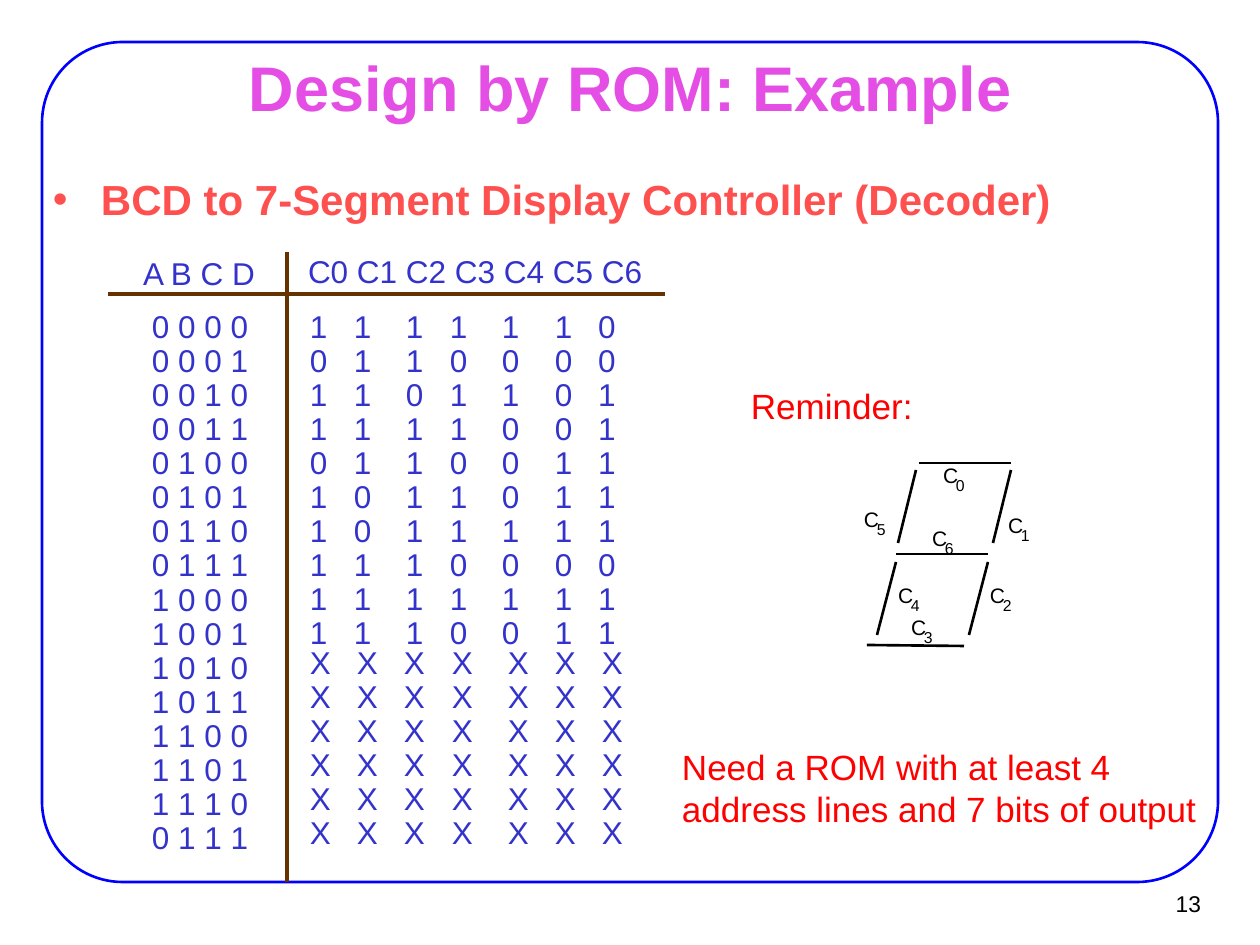
import pptx
import pptx.util
import pptx.dml.color
import pptx.enum.shapes
import pptx.enum.text
import pptx.oxml
import pptx.oxml.ns
from lxml import etree

SCALE = 914400 / 126
HUES = {
    "frame": "0000FF", "title": "E44EE4", "head": "FF5050", "rule": "663300",
    "table": "3333CC", "note": "FF0000", "ink": "000000",
}
ALIGN = pptx.enum.text.PP_ALIGN
ANCHOR = pptx.enum.text.MSO_ANCHOR


def px(num):
    return pptx.util.Emu(round(num * SCALE))


def hue(name):
    return pptx.dml.color.RGBColor.from_string(HUES[name])


def add_tag(parent, name, **attrs):
    return etree.SubElement(parent, pptx.oxml.ns.qn(name), attrs)


class Deck:
    font = "Arial"
    lead = 1.2

    def __init__(self):
        self.file = pptx.Presentation()
        self.file.slide_width, self.file.slide_height = px(1260), px(945)
        self.slide = self.file.slides.add_slide(self.file.slide_layouts[1])

    def place(self, shape, box):
        shape.left, shape.top, shape.width, shape.height = map(px, box)

    def fill(self, shape, rows, size, color, align=ALIGN.LEFT, anchor=ANCHOR.TOP,
             pad=(13, 6), tight=1, bold=False, tabs=(), bullet=False):
        frame = shape.text_frame
        frame.word_wrap = True
        frame.auto_size = pptx.enum.text.MSO_AUTO_SIZE.NONE
        frame.vertical_anchor = anchor
        frame.margin_left = frame.margin_right = px(pad[0])
        frame.margin_top = frame.margin_bottom = px(pad[1])
        frame.text = "\n".join(rows)
        for para in frame.paragraphs:
            para.alignment = align
            para.line_spacing = pptx.util.Pt(round(size * self.lead * tight, 2))
            props = para._p.get_or_add_pPr()
            if bullet:
                para.space_before = pptx.util.Pt(6)
                props.set("marL", str(px(48)))
                props.set("indent", str(px(-48)))
                add_tag(add_tag(props, "a:buClr"), "a:srgbClr", val=HUES[color])
                add_tag(props, "a:buFont", typeface=self.font)
                add_tag(props, "a:buChar", char="•")
            if tabs:
                stops = add_tag(props, "a:tabLst")
                for stop in tabs:
                    add_tag(stops, "a:tab", pos=str(px(stop)), algn="l")
            para.font.name = self.font
            para.font.size = pptx.util.Pt(size)
            para.font.bold = bold
            para.font.color.rgb = hue(color)

    def title(self, text, box):
        shape = self.slide.shapes.title
        self.place(shape, box)
        self.fill(shape, [text], 36, "title", ALIGN.CENTER, ANCHOR.MIDDLE,
                  pad=(14, 8), bold=True)

    def body(self, rows, box):
        shape = self.slide.placeholders[1]
        self.place(shape, box)
        self.fill(shape, rows, 24, "head", pad=(14, 8), bold=True, bullet=True)

    def text(self, rows, box, size, color, home=None, **style):
        shapes = (home or self.slide).shapes
        self.fill(shapes.add_textbox(*map(px, box)), rows, size, color, **style)

    def cells(self, rows, box, **style):
        self.text(rows, box, 18, "table", anchor=ANCHOR.MIDDLE, tight=0.9, **style)

    def label(self, name, left, top):
        group = self.slide.shapes.add_group_shape()
        self.text(["C"], (left, top, 21, 25), 12, "ink", group, pad=(0, 0))
        self.text([name], (left + 13, top + 13, 14, 19), 9, "ink", group, pad=(0, 0))

    def line(self, ends, color, width):
        kind = pptx.enum.shapes.MSO_CONNECTOR.STRAIGHT
        line = self.slide.shapes.add_connector(kind, *map(px, ends))
        line.line.color.rgb = hue(color)
        line.line.width = pptx.util.Pt(width)
        add_tag(line._element.spPr, "a:effectLst")

    def border(self, box):
        kind = pptx.enum.shapes.MSO_SHAPE.ROUNDED_RECTANGLE
        shape = self.slide.shapes.add_shape(kind, *map(px, box))
        shape.adjustments[0] = 0.096
        shape.shadow.inherit = False
        shape.fill.background()
        shape.line.color.rgb = hue("frame")
        shape.line.width = pptx.util.Pt(1.5)


def main():
    deck = Deck()
    deck.border((42, 42, 1176, 840))
    deck.text(["13"], (1137, 880, 77, 47), 13, "ink",
              align=ALIGN.RIGHT, anchor=ANCHOR.MIDDLE)
    deck.title("Design by ROM: Example", (95, 55, 1071, 62))
    deck.body(["BCD to 7-Segment Display Controller (Decoder)"], (39, 166, 1071, 640))

    for ends in ((287, 252, 287, 882), (108, 294, 665, 294)):
        deck.line(ends, "rule", 2.25)
    deck.cells(["A B C D"], (120, 251, 158, 47), align=ALIGN.CENTER)
    deck.cells([" ".join(f"C{num}" for num in range(7))], (295, 249, 374, 47))

    codes = [" ".join(f"{num:04b}") for num in range(15)] + ["0 1 1 1"]
    deck.cells(codes[:8], (139, 304, 140, 285))
    deck.cells(codes[8:], (139, 577, 140, 285))

    bits = ["1111110", "0110000", "1101101", "1111001", "0110011",
            "1011011", "1011111", "1110000", "1111111", "1110011"]
    deck.cells(["\t".join(row) for row in bits], (297, 304, 346, 353),
               tabs=(44, 96, 140, 192, 245, 288))
    deck.cells(["\t".join("X" * 7)] * 6, (297, 640, 352, 217),
               tabs=(47, 94, 142, 198, 245, 292))

    bars = [(919, 463, 1011, 463), (867, 645, 964, 646), (916, 470, 898, 543),
            (896, 562, 877, 635), (1011, 470, 993, 543), (988, 562, 969, 635),
            (896, 554, 988, 554)]
    for ends in bars:
        deck.line(ends, "ink", 1.5)
    spots = [(943, 463), (1008, 513), (990, 583), (911, 615),
             (898, 583), (864, 507), (932, 526)]
    for num, spot in enumerate(spots):
        deck.label(str(num), *spot)

    deck.text(["Reminder:"], (738, 378, 276, 55), 20, "note")
    deck.text(["Need a ROM with at least 4 address lines and 7 bits of output"],
              (669, 739, 551, 97), 20, "note")
    deck.file.save("out.pptx")


if __name__ == "__main__":
    main()
